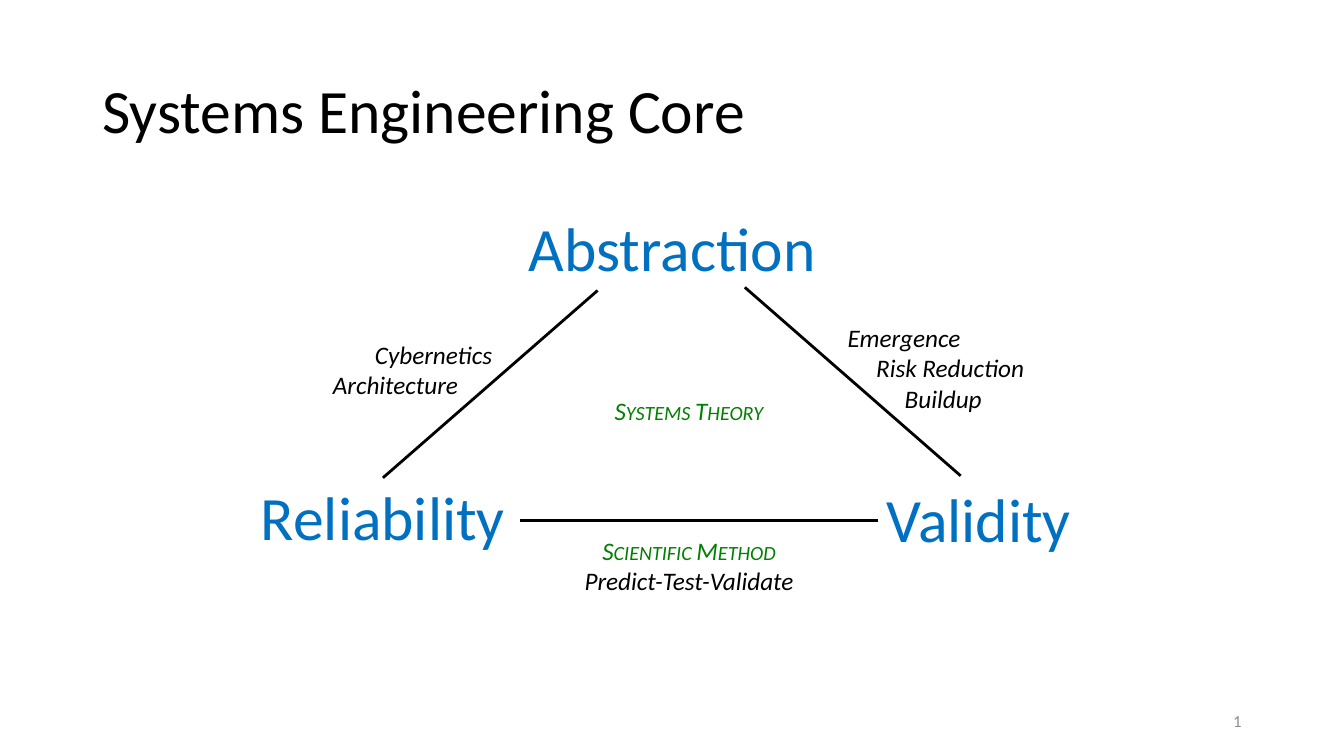
from pptx import Presentation
from pptx.dml.color import RGBColor
from pptx.enum.shapes import MSO_CONNECTOR
from pptx.enum.text import MSO_ANCHOR, PP_ALIGN
from pptx.oxml.ns import qn
from pptx.util import Cm, Pt
from lxml import etree

FONT = "Calibri"
BLACK, BLUE, GREEN, GRAY = "000000", "0070C0", "008000", "8C8C8C"
LEFT, CENTER, RIGHT = PP_ALIGN.LEFT, PP_ALIGN.CENTER, PP_ALIGN.RIGHT

TITLE = "Systems Engineering Core"
PAGE = "1"

# Corner words: text, left, top
CORNER_SIZE = (9.55, 2.13)
CORNERS = [
    ("Reliability", 4.88, 11.94),
    ("Validity", 19.89, 11.99),
    ("Abstraction", 12.17, 5.16),
]

# Sides of the triangle: start x, y, end x, y
SIDES = [
    (15.06, 7.32, 9.65, 12.04),
    (18.77, 7.24, 24.21, 11.99),
    (22.12, 13.11, 13.11, 13.11),
]

# Notes: box, alignment, lines of (text, colour, small caps, indent)
NOTES = [
    ((21.11, 8, 5.03, 2.57), LEFT, [
        ("Emergence", BLACK, False, 0),
        ("Risk Reduction", BLACK, False, 0.72),
        ("Buildup", BLACK, False, 1.44),
    ]),
    ((14.43, 13.36, 5.87, 1.8), CENTER, [
        ("Scientific Method", GREEN, True, 0),
        ("Predict-Test-Validate", BLACK, False, 0),
    ]),
    ((8.08, 8.43, 4.8, 1.8), LEFT, [
        ("Cybernetics", BLACK, False, 1.12),
        ("Architecture", BLACK, False, 0.06),
    ]),
    ((13.97, 9.83, 6.78, 1.02), CENTER, [
        ("Systems Theory", GREEN, True, 0),
    ]),
]


def rgb(color):
    return RGBColor.from_string(color)


def add_text(s, box, lines, size, align=LEFT, anchor=MSO_ANCHOR.TOP, italic=False):
    """Add a text box with one paragraph per (text, colour, small caps, indent)."""
    tf = s.shapes.add_textbox(*map(Cm, box)).text_frame
    tf.word_wrap = True
    tf.vertical_anchor = anchor
    tf.text = "\n".join(line[0] for line in lines)
    for p, (_, color, small_caps, indent) in zip(tf.paragraphs, lines):
        p.alignment = align
        if indent:
            p._p.get_or_add_pPr().set("marL", str(Cm(indent)))
        r = p.runs[0]
        r.font.name = FONT
        r.font.size = Pt(size)
        r.font.italic = italic
        r.font.color.rgb = rgb(color)
        if small_caps:
            r._r.get_or_add_rPr().set("cap", "small")
    return tf


def add_side(s, ends):
    line = s.shapes.add_connector(MSO_CONNECTOR.STRAIGHT, *map(Cm, ends))
    line.line.color.rgb = rgb(BLACK)
    line.line.width = Pt(2)
    etree.SubElement(line._element.spPr, qn("a:effectLst"))


def main():
    prs = Presentation()
    prs.slide_width, prs.slide_height = Cm(33.87), Cm(19.05)
    s = prs.slides.add_slide(prs.slide_layouts[6])

    title = add_text(s, (2.33, 1.02, 29.21, 3.68), [(TITLE, BLACK, False, 0)],
                     44, anchor=MSO_ANCHOR.MIDDLE)
    title.paragraphs[0].line_spacing = 0.9
    add_text(s, (23.92, 17.66, 7.62, 1.01), [(PAGE, GRAY, False, 0)],
             12, RIGHT, MSO_ANCHOR.MIDDLE)

    for word, x, y in CORNERS:
        add_text(s, (x, y, *CORNER_SIZE), [(word, BLUE, False, 0)], 44, CENTER)
    for ends in SIDES:
        add_side(s, ends)
    for box, align, lines in NOTES:
        add_text(s, box, lines, 18, align, italic=True)

    prs.save("out.pptx")


if __name__ == "__main__":
    main()
